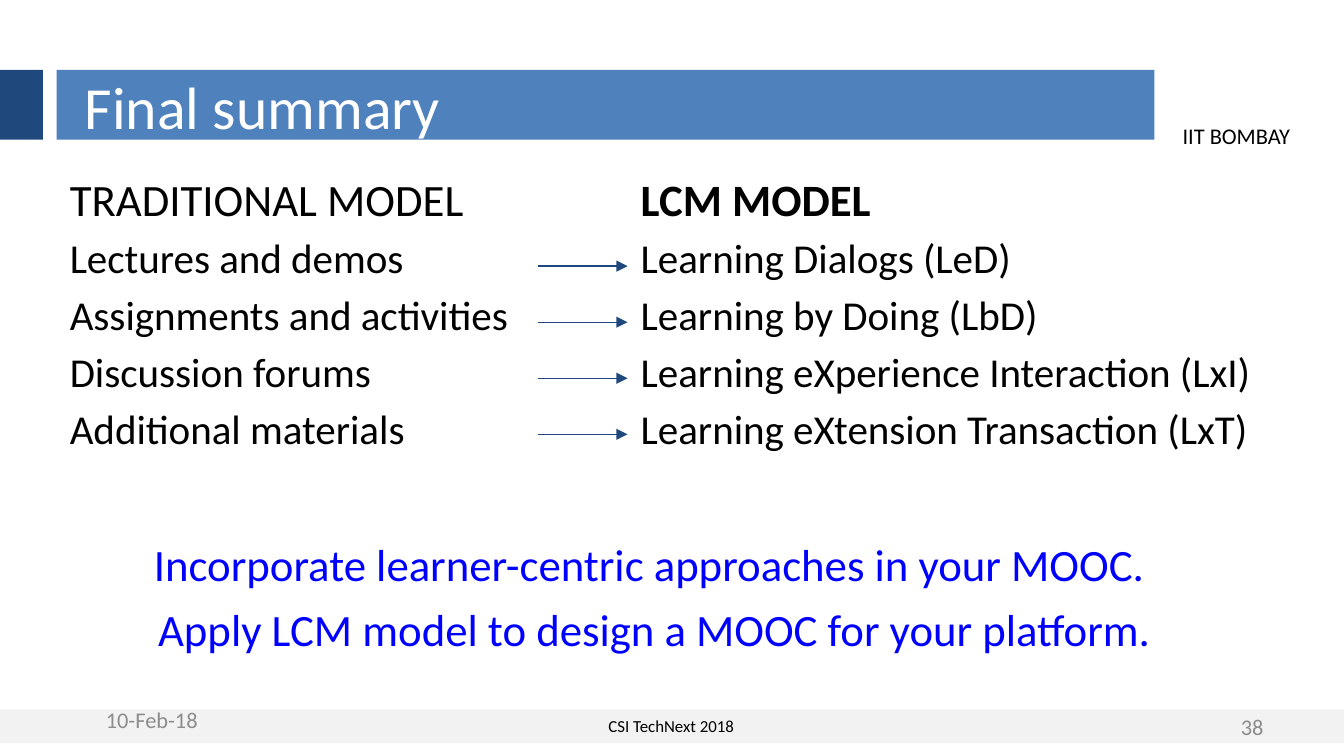
from dataclasses import dataclass

from pptx import Presentation
from pptx.dml.color import RGBColor
from pptx.enum.shapes import MSO_CONNECTOR, MSO_SHAPE
from pptx.enum.text import MSO_ANCHOR, PP_ALIGN
from pptx.oxml.ns import qn
from pptx.util import Cm, Pt
from lxml import etree


@dataclass(frozen=True)
class Theme:
    font: str = "Calibri"
    black: str = "000000"
    white: str = "FFFFFF"
    grey: str = "8C8C8C"
    pale: str = "F2F2F2"
    blue: str = "4F81BD"
    navy: str = "1F497D"
    accent: str = "0000FF"
    title: int = 32
    heading: int = 24
    body: int = 22
    small: int = 12
    footer: int = 9


class Deck:
    def __init__(self, theme):
        self.t = theme
        self.prs = Presentation()
        self.prs.slide_width, self.prs.slide_height = Cm(25.4), Cm(14.29)
        self.s = self.prs.slides.add_slide(self.prs.slide_layouts[6])

    def bar(self, x, y, w, h, color):
        sp = self.s.shapes.add_shape(MSO_SHAPE.RECTANGLE, Cm(x), Cm(y), Cm(w), Cm(h))
        sp.shadow.inherit = False
        sp.fill.solid()
        sp.fill.fore_color.rgb = RGBColor.from_string(color)
        sp.line.fill.background()

    def text(self, x, y, w, h, lines, color, align=PP_ALIGN.LEFT,
             anchor=MSO_ANCHOR.TOP, wrap=True, gap=0):
        """Each line is (text, size, bold)."""
        tf = self.s.shapes.add_textbox(Cm(x), Cm(y), Cm(w), Cm(h)).text_frame
        tf.word_wrap = wrap
        tf.vertical_anchor = anchor
        for i, (words, size, bold) in enumerate(lines):
            p = tf.add_paragraph() if i else tf.paragraphs[0]
            p.alignment = align
            p.space_before = Pt(gap if i else 0)
            r = p.add_run()
            r.text = words
            r.font.name, r.font.size, r.font.bold = self.t.font, Pt(size), bold
            r.font.color.rgb = RGBColor.from_string(color)

    def arrow(self, x1, x2, y):
        c = self.s.shapes.add_connector(MSO_CONNECTOR.STRAIGHT, Cm(x1), Cm(y), Cm(x2), Cm(y))
        c.line.color.rgb = RGBColor.from_string(self.t.navy)
        c.line.width = Pt(0.75)
        etree.SubElement(c.line._get_or_add_ln(), qn("a:tailEnd"), type="triangle")
        etree.SubElement(c._element.spPr, qn("a:effectLst"))


def main():
    t = Theme()
    d = Deck(t)

    # Header
    d.bar(0, 1.32, 0.81, 1.32, t.navy)
    d.bar(1.07, 1.32, 20.75, 1.32, t.blue)
    d.text(1.35, 1.35, 20.45, 1.3, [("Final summary", t.title, False)], t.white,
           anchor=MSO_ANCHOR.MIDDLE)
    d.text(22.1, 2.18, 2.57, 0.76, [("IIT BOMBAY", t.small, False)], t.black, wrap=False)

    # Two models side by side
    models = [
        (1.07, 9.17, "TRADITIONAL MODEL", False,
         ["Lectures and demos", "Assignments and activities",
          "Discussion forums", "Additional materials"]),
        (11.86, 12.55, "LCM MODEL", True,
         ["Learning Dialogs (LeD)", "Learning by Doing (LbD)",
          "Learning eXperience Interaction (LxI)",
          "Learning eXtension Transaction (LxT)"]),
    ]
    for x, w, heading, bold, items in models:
        lines = [(heading, t.heading, bold)] + [(item, t.body, False) for item in items]
        d.text(x, 3.12, w, 9.42, lines, t.black, gap=4)

    # Arrows from each traditional element to its LCM counterpart
    for row in range(4):
        d.arrow(10.16, 11.86, 5.03 + 1.06 * row)

    # Takeaways
    d.text(1.75, 10.03, 21.23, 2.51,
           [("Incorporate learner-centric approaches in your MOOC. ", t.heading, False),
            ("Apply LCM model to design a MOOC for your platform.", t.heading, False)],
           t.accent, align=PP_ALIGN.CENTER, gap=6)

    # Footer
    d.bar(0, 13.41, 25.4, 0.64, t.pale)
    d.text(1.75, 13.23, 5.72, 0.76, [("10-Feb-18", t.small, False)], t.grey,
           anchor=MSO_ANCHOR.MIDDLE)
    d.text(2.54, 13.41, 20.29, 0.61, [("CSI TechNext 2018", t.footer, False)], t.black,
           align=PP_ALIGN.CENTER)
    d.text(22.56, 13.36, 1.57, 0.76, [("38", t.small, False)], t.grey,
           align=PP_ALIGN.RIGHT, anchor=MSO_ANCHOR.MIDDLE)

    d.prs.save("out.pptx")


if __name__ == "__main__":
    main()
